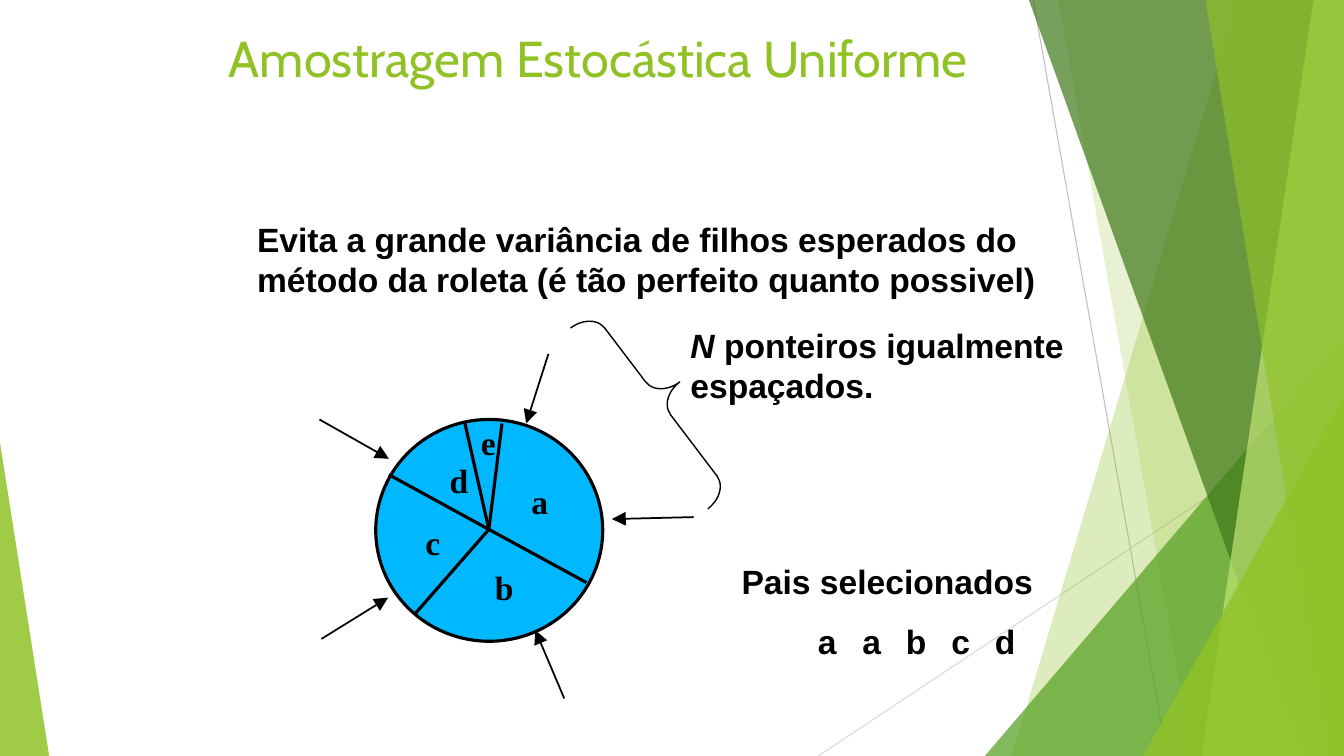
from pptx import Presentation
from pptx.dml.color import RGBColor
from pptx.enum.shapes import MSO_CONNECTOR, MSO_SHAPE
from pptx.enum.text import MSO_ANCHOR, PP_ALIGN
from pptx.oxml.ns import qn
from pptx.util import Cm, Pt
from lxml import etree

STRAIGHT = MSO_CONNECTOR.STRAIGHT
OVAL, TRIANGLE, BRACE = MSO_SHAPE.OVAL, MSO_SHAPE.ISOSCELES_TRIANGLE, MSO_SHAPE.RIGHT_BRACE
TOP, MIDDLE = MSO_ANCHOR.TOP, MSO_ANCHOR.MIDDLE
LEFT, CENTER = PP_ALIGN.LEFT, PP_ALIGN.CENTER

BLACK = RGBColor(0x00, 0x00, 0x00)
GREEN = RGBColor(0x90, 0xC2, 0x26)
MID_GREEN = RGBColor(0x54, 0xA0, 0x21)
DARK_GREEN = RGBColor(0x3F, 0x78, 0x19)
PALE_GREEN = RGBColor(0xC0, 0xE4, 0x74)
BLUE = RGBColor(0x00, 0xB8, 0xFF)
GREY = RGBColor(0xBF, 0xBF, 0xBF)
PALE_GREY = RGBColor(0xD9, 0xD9, 0xD9)

WIDTH, HEIGHT = 33.87, 19.05
HUB = (12.32, 13.34)
# Ends of the lines that divide the wheel
SPOKES = [(9.8, 11.96), (11.71, 10.64), (12.65, 10.67), (10.44, 15.49), (14.78, 14.68)]
WEDGES = [("e", 12.12, 10.9), ("a", 13.39, 12.4), ("d", 11.33, 11.86),
          ("b", 12.47, 14.55), ("c", 10.72, 13.41)]
# Tail and tip of each pointer
POINTERS = [((8.1, 16.1), (9.78, 15.06)), ((14.22, 17.6), (13.49, 15.88)),
            ((17.48, 13.03), (15.42, 13.08)), ((13.82, 8.92), (13.26, 10.67)),
            ((8.05, 10.57), (9.8, 11.56))]


def add_line(s, start, end, color, width, arrow=False):
    line = s.shapes.add_connector(STRAIGHT, *[Cm(v) for v in (*start, *end)])
    line.line.color.rgb = color
    line.line.width = Pt(width)
    etree.SubElement(line._element.spPr, qn("a:effectLst"))
    if arrow:
        etree.SubElement(line.line._get_or_add_ln(), qn("a:tailEnd"),
                         type="triangle", w="lg", len="lg")


def paint(sp, color, opacity=100):
    sp.shadow.inherit = False
    sp.line.fill.background()
    sp.fill.solid()
    sp.fill.fore_color.rgb = color
    if opacity < 100:
        clr = sp._element.spPr.find(qn("a:solidFill"))[0]
        etree.SubElement(clr, qn("a:alpha"), val=str(opacity * 1000))


def add_band(s, top_x, bottom_x, color, opacity):
    """Full-height band that runs from a slanted left side to the slide edge."""
    builder = s.shapes.build_freeform(Cm(top_x), 0)
    corners = [(WIDTH, 0), (WIDTH, HEIGHT), (bottom_x, HEIGHT)]
    builder.add_line_segments([(Cm(x), Cm(y)) for x, y in corners])
    paint(builder.convert_to_shape(), color, opacity)


def add_triangle(s, x, y, right, apex, color, opacity):
    sp = s.shapes.add_shape(TRIANGLE, Cm(x), Cm(y), Cm(right - x), Cm(HEIGHT - y))
    sp.adjustments[0] = apex
    paint(sp, color, opacity)


def add_text(s, text, x, y, w, h, lead="", font="Arial", size=24, color=BLACK,
             bold=True, align=LEFT, anchor=TOP, spacing=1.0, inset=(0.05, 0.13)):
    tf = s.shapes.add_textbox(Cm(x), Cm(y), Cm(w), Cm(h)).text_frame
    tf.word_wrap = True
    tf.vertical_anchor = anchor
    tf.margin_left = tf.margin_right = Cm(inset[0])
    tf.margin_top = tf.margin_bottom = Cm(inset[1])
    p = tf.paragraphs[0]
    p.alignment = align
    p.line_spacing = spacing
    for part, italic in ((lead, True), (text, False)):
        if part:
            r = p.add_run()
            r.text = part
            r.font.name, r.font.size = font, Pt(size)
            r.font.bold, r.font.italic = bold, italic
            r.font.color.rgb = color


def add_background(s):
    add_line(s, (26.04, 0), (29.41, HEIGHT), GREY, 0.75)
    add_line(s, (WIDTH, 10.24), (20.62, HEIGHT), PALE_GREY, 0.75)
    add_band(s, 31.19, 25.5, GREEN, 30)
    add_band(s, 26.67, 30.05, GREEN, 20)
    add_triangle(s, 24.82, 8.46, WIDTH, 1, MID_GREEN, 72)
    add_band(s, 25.93, 32.79, DARK_GREEN, 70)
    add_band(s, 33.1, 30.28, PALE_GREEN, 70)
    add_band(s, 30.38, 33.48, GREEN, 65)
    add_triangle(s, 28.8, 9.98, WIDTH, 1, GREEN, 80)
    add_triangle(s, 0, 11.15, 1.24, 0, GREEN, 85)


def add_wheel(s):
    sp = s.shapes.add_shape(OVAL, Cm(9.47), Cm(10.57), Cm(5.72), Cm(5.59))
    paint(sp, BLUE)
    sp.line.color.rgb = BLACK
    sp.line.width = Pt(2.25)
    for letter, x, y in WEDGES:
        add_text(s, letter, x, y, 0.5, 0.71, font="Times New Roman",
                 anchor=MIDDLE, spacing=0.73, inset=(0, 0))
    for end in SPOKES:
        add_line(s, HUB, end, BLACK, 2.25)
    for tail, tip in POINTERS:
        add_line(s, tail, tip, BLACK, 1.25, arrow=True)


def add_brace(s):
    sp = s.shapes.add_shape(BRACE, Cm(15.97), Cm(7.27), Cm(1.37), Cm(5.72))
    sp.adjustments[0], sp.adjustments[1] = 0.38, 0.48
    sp.rotation = 322.8
    sp.shadow.inherit = False
    sp.fill.background()
    sp.line.color.rgb = BLACK
    sp.line.width = Pt(1)


def main():
    prs = Presentation()
    prs.slide_width, prs.slide_height = Cm(WIDTH), Cm(HEIGHT)
    s = prs.slides.add_slide(prs.slide_layouts[6])
    add_background(s)

    # Title and explanation
    add_text(s, "Amostragem Estocástica Uniforme", 5.72, 0.91, 21.79, 1.42,
             font="Cabin", size=36, color=GREEN, bold=False, spacing=0.75)
    add_text(s, "Evita a grande variância de filhos esperados do método da roleta "
             "(é tão perfeito quanto possivel)", 6.43, 5.41, 20.12, 2.24, anchor=MIDDLE)

    # Roulette wheel with its pointers
    add_wheel(s)
    add_brace(s)
    add_text(s, "ponteiros igualmente espaçados.", 17.35, 8.05, 10.41, 2.31, lead="N ")

    # Selected parents
    add_text(s, "Pais selecionados", 18.64, 14.27, 7.92, 0.99, spacing=0.73)
    for i, parent in enumerate("aabcd"):
        add_text(s, parent, 20.3 + 1.12 * i, 15.77, 1.1, 0.99,
                 align=CENTER, anchor=MIDDLE, spacing=0.73)

    prs.save("out.pptx")


if __name__ == "__main__":
    main()
